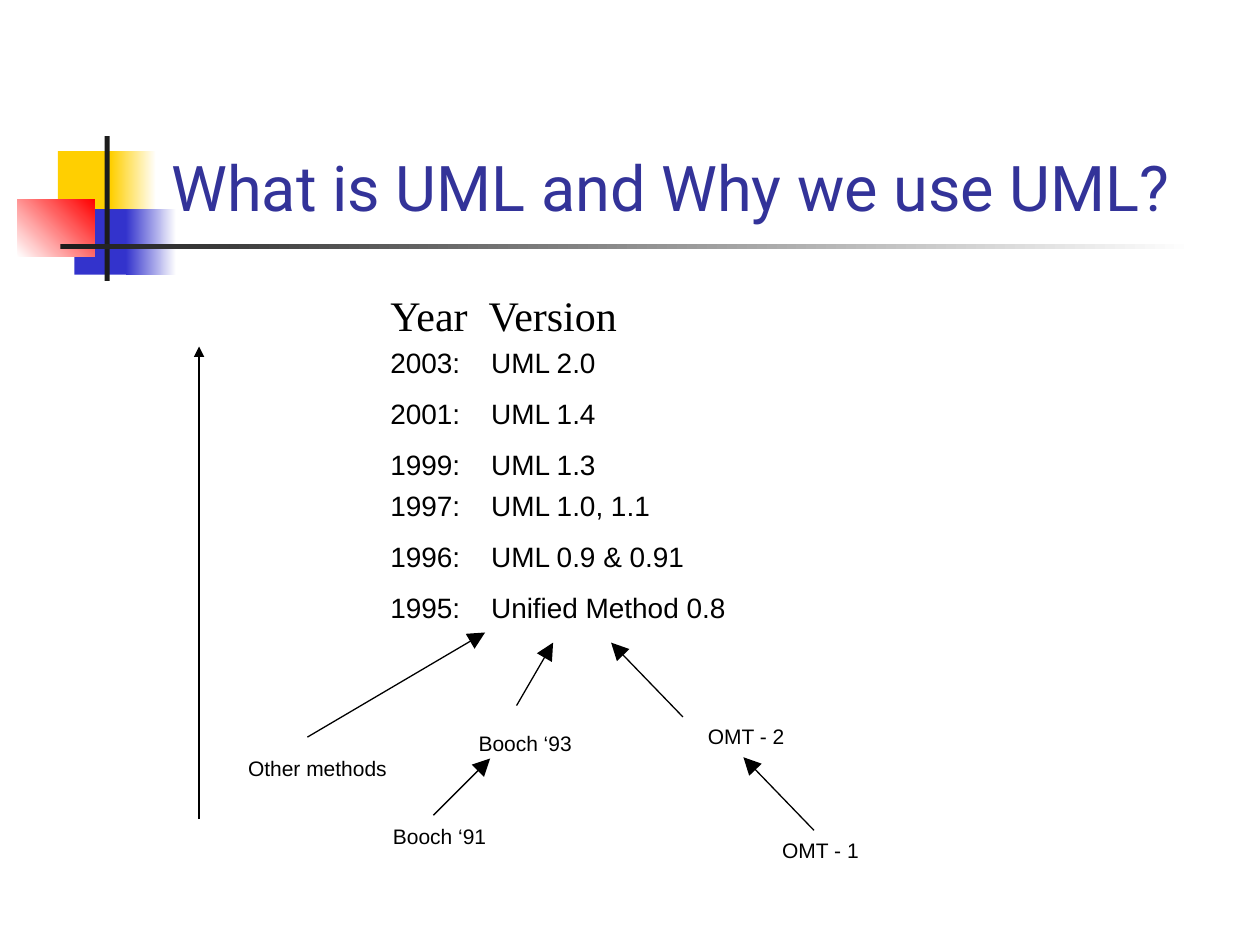
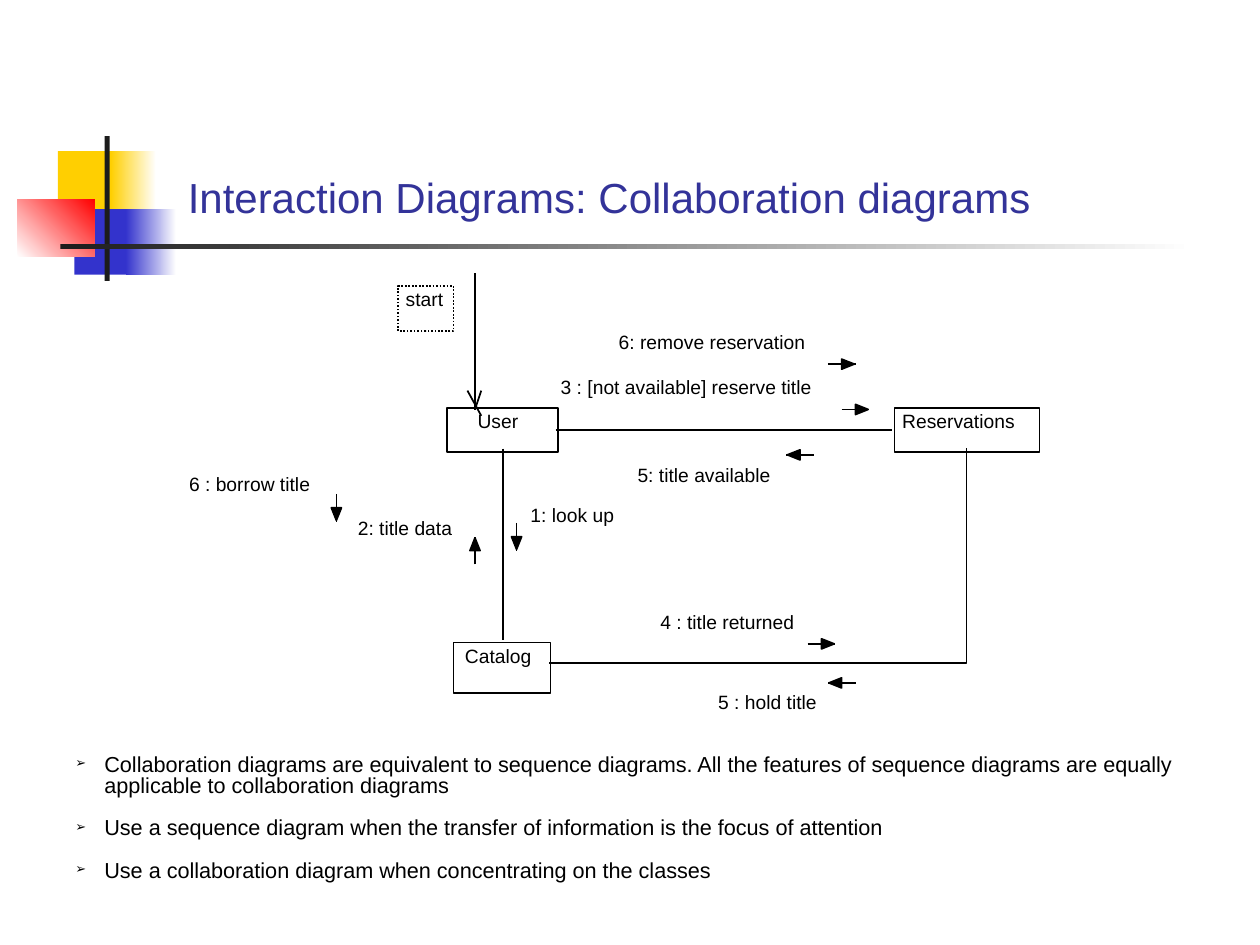
import pptx
import pptx.util
import pptx.dml.color
import pptx.enum.dml
import pptx.enum.shapes
import pptx.enum.text
import pptx.oxml
import pptx.oxml.ns
from lxml import etree

Inches = pptx.util.Inches
Pt = pptx.util.Pt
RECTANGLE = pptx.enum.shapes.MSO_SHAPE.RECTANGLE
ANCHOR = pptx.enum.text.MSO_ANCHOR
BLACK, WHITE, CHARCOAL = "000000", "FFFFFF", "1C1C1C"
YELLOW, BLUE, RED, TITLE_BLUE = "FFCF01", "3333CC", "FF0000", "333399"
DECORATION = [
    ((0.46, 1.2, 0.48, 0.52), YELLOW, None, 0),
    ((0.88, 1.2, 0.36, 0.52), YELLOW, WHITE, 0),
    ((0.59, 1.66, 0.46, 0.52), BLUE, None, 0),
    ((1, 1.66, 0.4, 0.52), BLUE, WHITE, 0),
    ((0.14, 1.58, 0.61, 0.46), WHITE, RED, 45),
    ((0.83, 1.08, 0.04, 1.15), CHARCOAL, None, 0),
    ((0.48, 1.94, 9, 0.04), CHARCOAL, WHITE, 0),
]


def color(value):
    return pptx.dml.color.RGBColor.from_string(value)


def lengths(values):
    return [Inches(value) for value in values]


def add_xml(parent, tag, **attributes):
    return etree.SubElement(parent, pptx.oxml.ns.qn(tag), attributes)


class SlideBuilder:
    """Draws the elements of the deck on its current slide."""

    def __init__(self, deck):
        self.deck = deck
        self.page = None

    def new_slide(self, title, place, size, font="Arial"):
        self.page = self.deck.slides.add_slide(self.deck.slide_layouts[5])
        for area, start, end, angle in DECORATION:
            self.rectangle(area, start, end, angle)
        box = self.page.shapes.title
        box.element.getparent().append(box.element)
        box.left, box.top, box.width, box.height = lengths(place)
        frame = box.text_frame
        frame.auto_size = pptx.enum.text.MSO_AUTO_SIZE.NONE
        frame.word_wrap = True
        frame.vertical_anchor = ANCHOR.BOTTOM
        para = frame.paragraphs[0]
        para.alignment = pptx.enum.text.PP_ALIGN.LEFT
        self.span(para, title, size, font, TITLE_BLUE)

    def span(self, para, text, size, font="Arial", ink=BLACK):
        span = para.add_run()
        span.text = text
        span.font.size = Pt(size)
        span.font.name = font
        span.font.color.rgb = color(ink)

    def rectangle(self, area, fill, fade=None, angle=0, line=None, dash=None):
        shape = self.page.shapes.add_shape(RECTANGLE, *lengths(area))
        shape.shadow.inherit = False
        if fade:
            shape.fill.gradient()
            shape.fill.gradient_angle = angle
            for stop, value in zip(shape.fill.gradient_stops, (fill, fade)):
                stop.color.rgb = color(value)
        else:
            shape.fill.solid()
            shape.fill.fore_color.rgb = color(fill)
        if line:
            shape.line.color.rgb = color(line)
            shape.line.width = Pt(1)
            shape.line.dash_style = dash
        else:
            shape.line.fill.background()

    def text(self, area, lines, size, font="Arial", inset=True,
             gap=0, tab=None, bullet=None, spacing=None, anchor=ANCHOR.TOP):
        box = self.page.shapes.add_textbox(*lengths(area))
        frame = box.text_frame
        frame.word_wrap = True
        frame.vertical_anchor = anchor
        if not inset:
            frame.margin_left = frame.margin_right = 0
            frame.margin_top = frame.margin_bottom = 0
        for number, line in enumerate(lines):
            para = frame.add_paragraph() if number else frame.paragraphs[0]
            properties = para._p.get_or_add_pPr()
            if bullet:
                properties.set("marL", str(Inches(0.23)))
                properties.set("indent", str(-Inches(0.23)))
                add_xml(add_xml(properties, "a:buClr"), "a:srgbClr", val=BLACK)
                add_xml(properties, "a:buSzPct", val="60000")
                add_xml(properties, "a:buFont", typeface="Arial")
                add_xml(properties, "a:buChar", char=bullet)
            if tab:
                stops = add_xml(properties, "a:tabLst")
                add_xml(stops, "a:tab", pos=str(Inches(tab)), algn="l")
            if spacing:
                para.line_spacing = spacing
            if number:
                para.space_before = Pt(gap)
            self.span(para, line, size, font)

    def label(self, left, top, width, text):
        spare = 0.12
        self.text((left, top, width + spare, 0.18), [text], 11, inset=False)

    def line(self, start, end, width=1, head=None):
        connector = self.page.shapes.add_connector(
            pptx.enum.shapes.MSO_CONNECTOR.STRAIGHT, *lengths(start + end))
        connector.line.color.rgb = color(BLACK)
        connector.line.width = Pt(width)
        if head:
            add_xml(connector.line._get_or_add_ln(), "a:tailEnd",
                    type="triangle", w=head, len=head)
        add_xml(connector._element.spPr, "a:effectLst")

    def outline(self, points, closed):
        corners = [tuple(lengths(point)) for point in points]
        builder = self.page.shapes.build_freeform(*corners[0])
        builder.add_line_segments(corners[1:], close=closed)
        shape = builder.convert_to_shape()
        shape.shadow.inherit = False
        if closed:
            shape.fill.solid()
            shape.fill.fore_color.rgb = color(BLACK)
        else:
            shape.fill.background()
        shape.line.color.rgb = color(BLACK)
        shape.line.width = Pt(1)

    def message_arrow(self, x, y, across, down):
        length, head, half = 0.22, 0.1, 0.04
        self.line((x, y), (x + across * length, y + down * length))
        tip, base = length - 0.01, length - 0.01 - head
        base_x, base_y = x + across * base, y + down * base
        self.outline([
            (base_x - down * half, base_y - across * half),
            (x + across * tip, y + down * tip),
            (base_x + down * half, base_y + across * half)], True)


def build_history(builder):
    builder.new_slide("What is UML and Why we use UML?",
                      (1.26, 0.23, 8.52, 1.6), 36, "Roboto")
    builder.text((3, 2.25, 2.5, 0.5), ["Year\tVersion"], 24,
                 "Times New Roman", tab=0.78)
    releases = [
        (2.69, 2.67, ["2003:\tUML 2.0", "2001:\tUML 1.4", "1999:\tUML 1.3"]),
        (3.83, 4.6, ["1997:\tUML 1.0, 1.1", "1996:\tUML 0.9 & 0.91",
                     "1995:\tUnified Method 0.8"]),
    ]
    for top, width, lines in releases:
        builder.text((3, top, width, 1.18), lines, 16, gap=10, tab=0.8)
    methods = [
        (1.87, 5.95, 1.35, "Other methods"),
        (3.02, 6.49, 1.25, "Booch ‘91"),
        (3.7, 5.75, 1, "Booch ‘93"),
        (5.52, 5.69, 0.9, "OMT - 2"),
        (6.11, 6.6, 0.9, "OMT - 1"),
    ]
    for left, top, width, name in methods:
        builder.text((left, top, width, 0.3), [name], 12)
    influences = [
        ((2.44, 5.85), (3.85, 5.02)),
        ((3.44, 6.47), (3.89, 6.02)),
        ((4.1, 5.6), (4.39, 5.1)),
        ((6.46, 6.59), (5.9, 6.01)),
        ((5.42, 5.69), (4.85, 5.1)),
    ]
    for start, end in influences:
        builder.line(start, end, 0.75, "lg")
    builder.line((1.58, 6.5), (1.58, 2.75), 0.75, "med")


def build_collaboration(builder):
    builder.new_slide("Interaction Diagrams: Collaboration diagrams",
                      (1.39, 1.06, 8.38, 0.75), 24)
    dotted = pptx.enum.dml.MSO_LINE.ROUND_DOT
    participants = [
        ((3.55, 3.24, 0.88, 0.35), None, 3.79, 0.32, "User"),
        ((3.6, 5.1, 0.77, 0.4), None, 3.69, 0.53, "Catalog"),
        ((7.1, 3.24, 1.15, 0.35), None, 7.16, 0.9, "Reservations"),
        ((3.16, 2.27, 0.44, 0.36), dotted, 3.22, 0.3, "start"),
    ]
    for area, dash, left, width, name in participants:
        builder.rectangle(area, WHITE, line=BLACK, dash=dash)
        builder.label(left, area[1] + 0.01, width, name)
    links = [
        ((3.77, 2.17), (3.77, 3.25)),
        ((3.71, 3.1), (3.82, 3.3)),
        ((3.82, 3.1), (3.77, 3.25)),
        ((3.99, 3.56), (3.99, 5.08)),
        ((4.41, 3.41), (7.08, 3.41)),
    ]
    for start, end in links:
        builder.line(start, end)
    builder.outline([(4.36, 5.26), (7.67, 5.26), (7.67, 3.56)], False)
    right, left, up, down = (1, 0), (-1, 0), (0, -1), (0, 1)
    messages = [
        (4.21, 3.99, 0.67, "1: look up", 4.1, 4.15, down),
        (2.84, 4.1, 0.75, "2: title data", 3.77, 4.48, up),
        (4.45, 2.98, 2, "3 : [not available] reserve title", 6.68, 3.25, right),
        (5.24, 4.84, 1.07, "4 : title returned", 6.41, 5.11, right),
        (5.7, 5.48, 0.79, "5 : hold title", 6.79, 5.42, left),
        (1.5, 3.75, 0.96, "6 : borrow title", 2.67, 3.92, down),
        (4.91, 2.62, 1.48, "6: remove reservation", 6.57, 2.89, right),
        (5.06, 3.68, 1.06, "5: title available", 6.46, 3.61, left),
    ]
    for text_left, top, width, text, x, y, direction in messages:
        builder.label(text_left, top, width, text)
        builder.message_arrow(x, y, *direction)
    builder.text((0.5, 5.75, 9.25, 1.5), [
        "Collaboration diagrams are equivalent to sequence diagrams. All the "
        "features of sequence diagrams are equally applicable to "
        "collaboration diagrams",
        "Use a sequence diagram when the transfer of information is the "
        "focus of attention",
        "Use a collaboration diagram when concentrating on the classes",
    ], 12.4, gap=12.4, bullet="➢", spacing=0.8, anchor=ANCHOR.MIDDLE)


def main():
    deck = pptx.Presentation()
    deck.slide_width, deck.slide_height = Inches(10), Inches(7.5)
    builder = SlideBuilder(deck)
    build_history(builder)
    build_collaboration(builder)
    deck.save("out.pptx")


if __name__ == "__main__":
    main()
